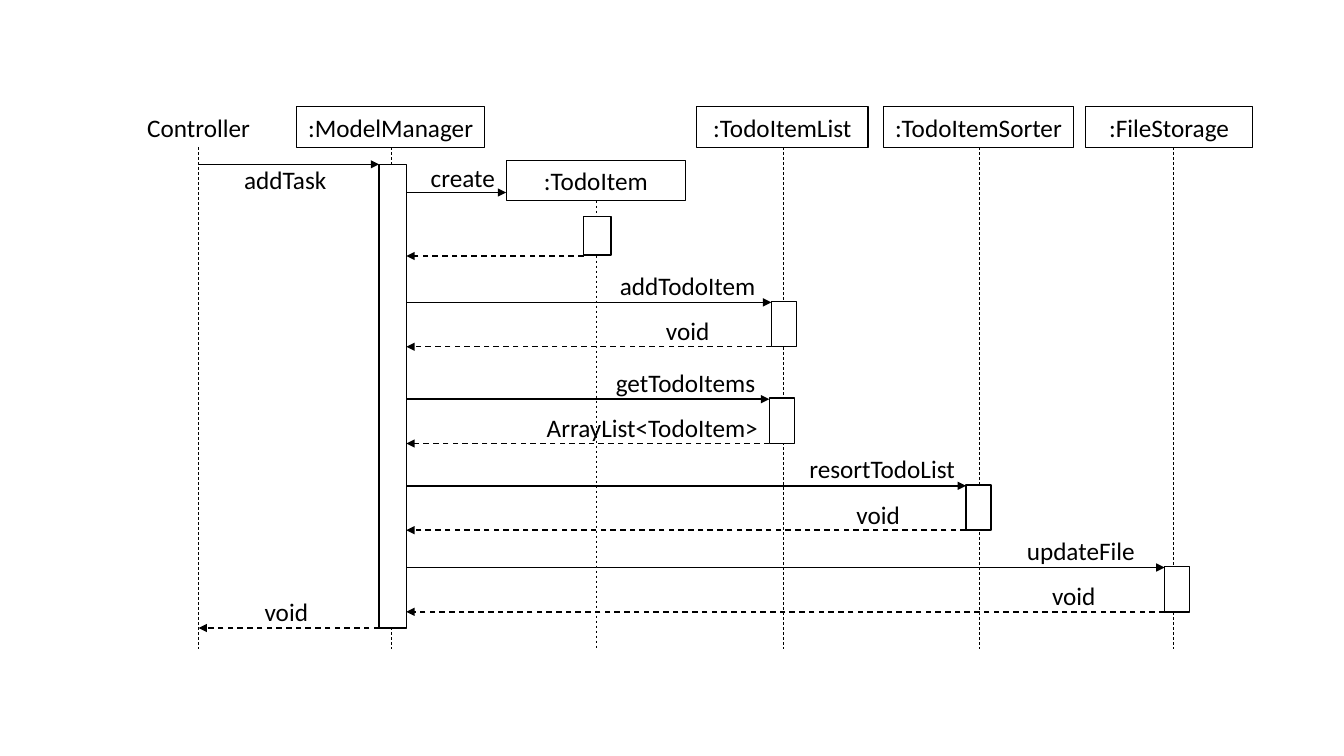
from dataclasses import dataclass

from lxml import etree
from pptx import Presentation
from pptx.dml.color import RGBColor
from pptx.enum.dml import MSO_LINE
from pptx.enum.shapes import MSO_CONNECTOR, MSO_SHAPE
from pptx.enum.text import MSO_ANCHOR, PP_ALIGN
from pptx.oxml.ns import qn
from pptx.util import Inches, Pt

RECTANGLE = MSO_SHAPE.RECTANGLE
STRAIGHT = MSO_CONNECTOR.STRAIGHT
DASH = MSO_LINE.DASH
MIDDLE = MSO_ANCHOR.MIDDLE
CENTER = PP_ALIGN.CENTER


@dataclass(frozen=True)
class Theme:
    font: str = "Calibri"
    size: float = 18
    ink: RGBColor = RGBColor(0, 0, 0)
    paper: RGBColor = RGBColor(255, 255, 255)
    lifeline: float = 0.5
    frame: float = 0.75
    stroke: float = 1


@dataclass(frozen=True)
class Box:
    left: float
    top: float
    width: float
    height: float

    def inner(self, left, top, width, height):
        return Box(self.left + left, self.top + top, width, height)

    def lengths(self):
        return [Inches(n) for n in (self.left, self.top, self.width, self.height)]


THEME = Theme()
ROW = 0.4
LABEL_WIDTH = 1.94
MANAGER_LEFT, MANAGER_RIGHT = 2.76, 3.03
MANAGER_TOP, MANAGER_HEIGHT = 0.63, 4.6
CREATE_LEFT = 4.02
ITEM_BAR_LEFT, ITEM_BAR_TOP = 4.79, 1.15
BAR_WIDTH, BAR_HEIGHT = 0.25, 0.45

PARTICIPANTS = [
    ("Controller", 0, 1.94, 0.06, 0.97, False),
    (":ModelManager", 1.94, 1.87, 0.06, 2.88, True),
    (":TodoItem", CREATE_LEFT, 1.78, 0.59, 4.91, True),
    (":TodoItemList", 5.91, 1.7, 0.06, 6.77, True),
    (":TodoItemSorter", 7.76, 1.89, 0.06, 8.71, True),
    (":FileStorage", 9.77, 1.65, 0.06, 10.64, True),
]

CALLS = [
    ("addTodoItem", 6.65, 1.99, "void", 4.85, 1.94),
    ("getTodoItems", 6.63, 2.95, "ArrayList<TodoItem>", 4.17, 2.6),
    ("resortTodoList", 8.58, 3.81, "void", 6.94, 1.54),
    ("updateFile", 10.55, 4.62, "void", 8.88, 1.54),
]


def write(shape, words):
    frame = shape.text_frame
    frame.word_wrap = True
    frame.vertical_anchor = MIDDLE
    frame.margin_left = frame.margin_right = 0
    para = frame.paragraphs[0]
    para.alignment = CENTER
    span = para.add_run()
    span.text = words
    span.font.name = THEME.font
    span.font.size = Pt(THEME.size)
    span.font.color.rgb = THEME.ink


def add_label(page, box, words):
    write(page.shapes.add_textbox(*box.lengths()), words)


def add_rectangle(page, box, weight, filled):
    shape = page.shapes.add_shape(RECTANGLE, *box.lengths())
    shape.shadow.inherit = False
    if filled:
        shape.fill.solid()
        shape.fill.fore_color.rgb = THEME.paper
    else:
        shape.fill.background()
    shape.line.color.rgb = THEME.ink
    shape.line.width = Pt(weight)
    return shape


def add_line(page, box, start, end, weight, dashed=False, arrow=False):
    points = (box.left + start[0], box.top + start[1], box.left + end[0], box.top + end[1])
    connector = page.shapes.add_connector(STRAIGHT, *[Inches(n) for n in points])
    line = connector.line
    line.color.rgb = THEME.ink
    line.width = Pt(weight)
    if dashed:
        line.dash_style = DASH
    properties = connector._element.spPr
    if arrow:
        etree.SubElement(properties.find(qn("a:ln")), qn("a:tailEnd"), type="triangle")
    etree.SubElement(properties, qn("a:effectLst"))


def add_message(page, box, start, end, height, reply=False):
    add_line(page, box, (start, height), (end, height), THEME.stroke, reply, True)


def add_bar(page, box, left, top, width, height):
    add_rectangle(page, box.inner(left, top, width, height), THEME.stroke, True)


def draw_participants(page, box):
    for name, left, width, top, life, framed in PARTICIPANTS:
        head = box.inner(left, top, width, ROW)
        if framed:
            write(add_rectangle(page, head, THEME.frame, False), name)
        else:
            add_label(page, head, name)
        add_line(page, box, (life, top + ROW), (life, box.height), THEME.lifeline, True)


def draw_task(page, box):
    controller = PARTICIPANTS[0][4]
    finish = MANAGER_TOP + MANAGER_HEIGHT
    add_bar(page, box, MANAGER_LEFT, MANAGER_TOP, MANAGER_RIGHT - MANAGER_LEFT, MANAGER_HEIGHT)
    add_message(page, box, controller, MANAGER_LEFT, MANAGER_TOP)
    add_label(page, box.inner(0.86, 0.58, LABEL_WIDTH, ROW), "addTask")
    add_message(page, box, MANAGER_LEFT, controller, finish, True)
    add_label(page, box.inner(1.07, 4.87, 1.54, ROW), "void")


def draw_creation(page, box):
    add_message(page, box, MANAGER_RIGHT, CREATE_LEFT, 0.91)
    add_label(page, box.inner(3, 0.56, 1.18, ROW), "create")
    add_bar(page, box, ITEM_BAR_LEFT, ITEM_BAR_TOP, 0.27, 0.38)
    add_message(page, box, ITEM_BAR_LEFT, MANAGER_RIGHT, ITEM_BAR_TOP + 0.39, True)


def draw_calls(page, box):
    for request, left, top, reply, reply_left, reply_width in CALLS:
        finish = top + BAR_HEIGHT
        add_bar(page, box, left, top, BAR_WIDTH, BAR_HEIGHT)
        add_message(page, box, MANAGER_RIGHT, left, top + 0.01)
        add_label(page, box.inner(left - 1.8, top - 0.36, LABEL_WIDTH, ROW), request)
        add_message(page, box, left, MANAGER_RIGHT, finish, True)
        add_label(page, box.inner(reply_left, finish - 0.36, reply_width, ROW), reply)


def draw_sequence(page, box):
    for draw in (draw_participants, draw_task, draw_creation, draw_calls):
        draw(page, box)


deck = Presentation()
deck.slide_width = Inches(13.33)
deck.slide_height = Inches(7.5)
page = deck.slides.add_slide(deck.slide_layouts[6])
draw_sequence(page, Box(1, 1, 11.42, 5.44))
deck.save("out.pptx")
